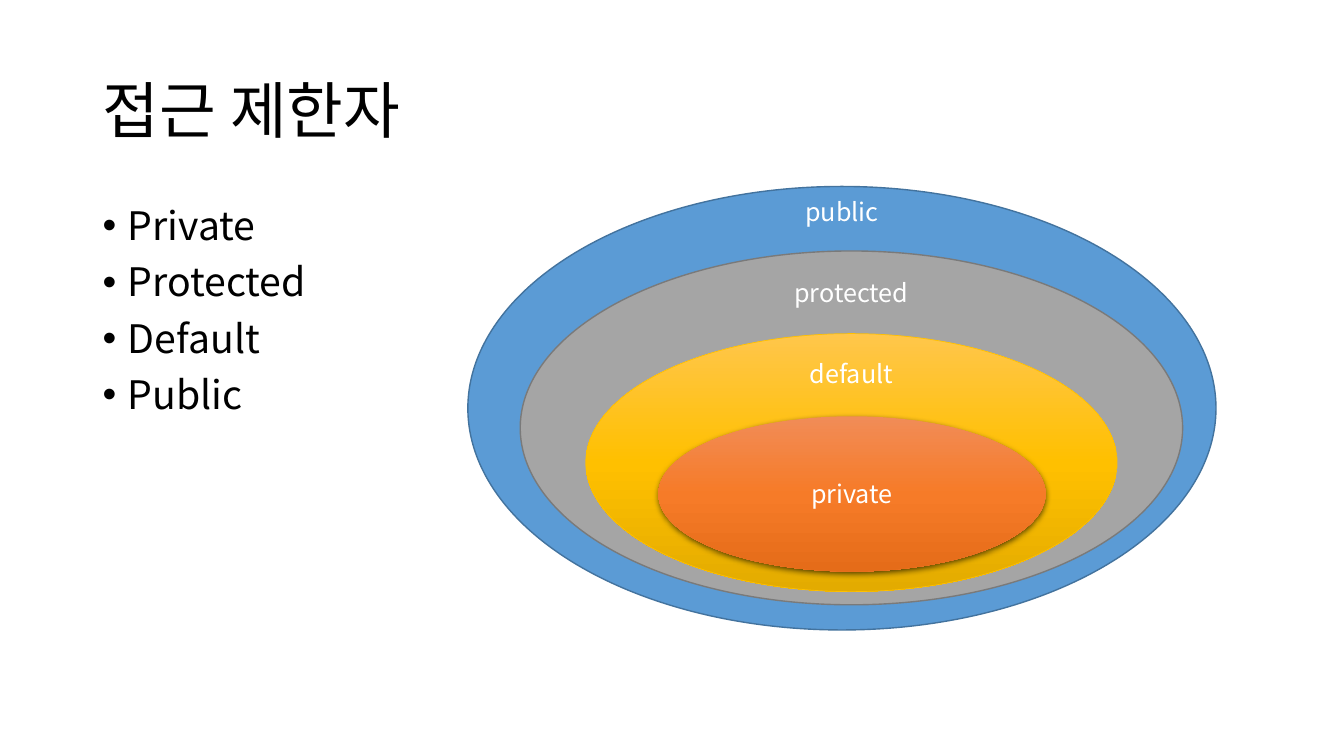
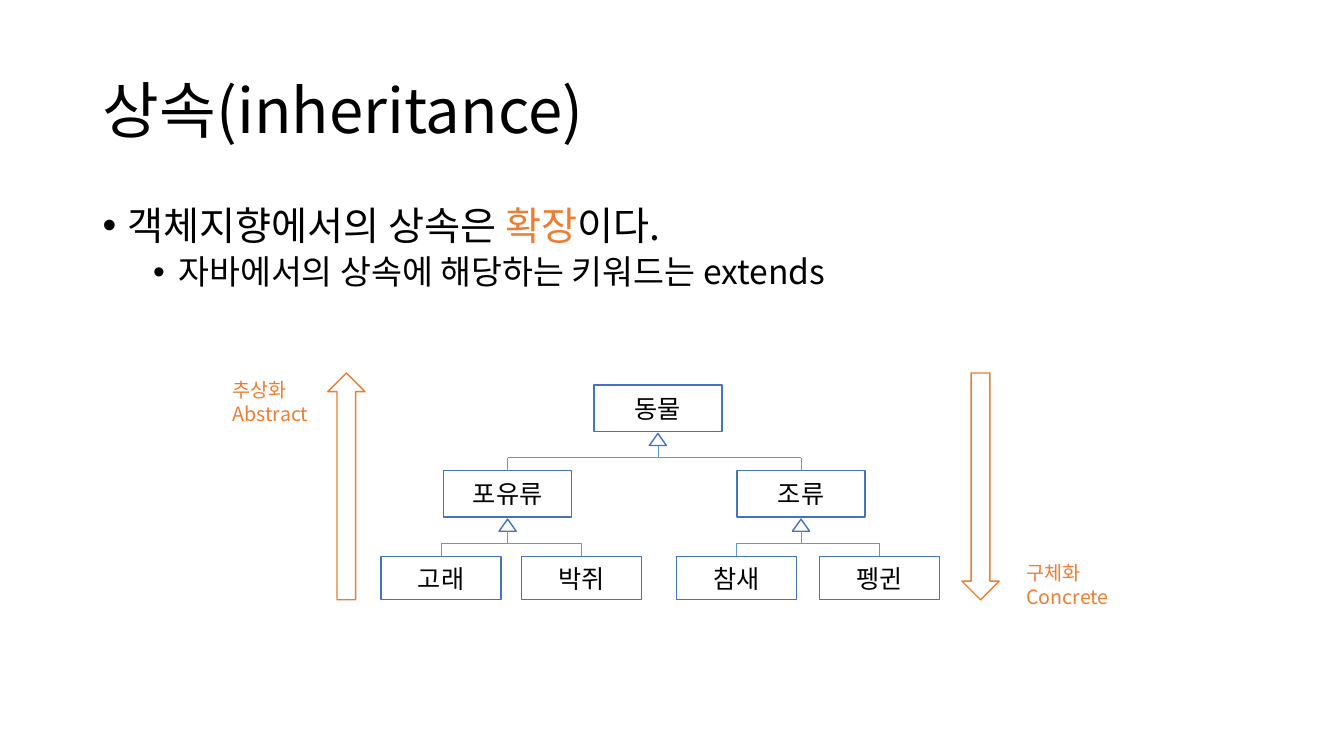
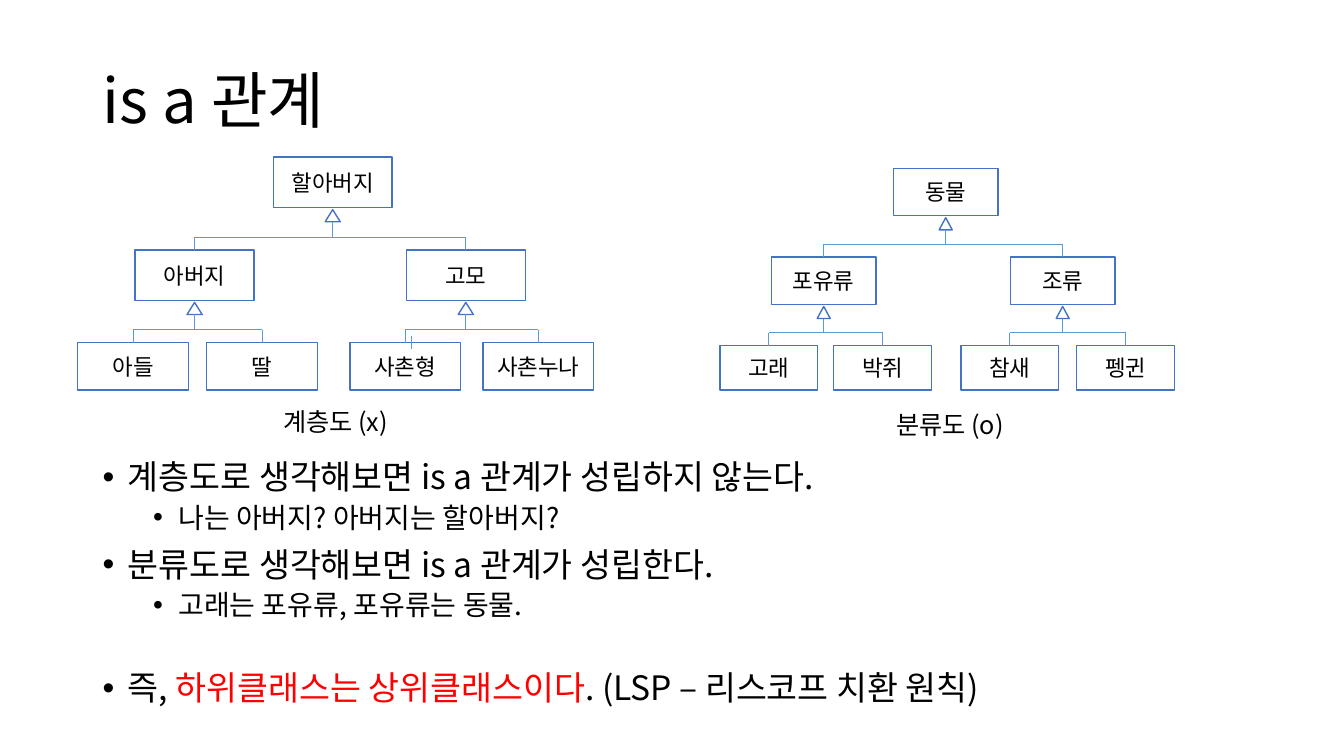
import copy

import lxml.etree
import pptx
import pptx.dml.color
import pptx.enum.shapes
import pptx.enum.text
import pptx.oxml
import pptx.oxml.ns
import pptx.util

Inches = pptx.util.Inches
Pt = pptx.util.Pt
qn = pptx.oxml.ns.qn
color = pptx.dml.color.RGBColor.from_string
PRESET = pptx.enum.shapes.MSO_SHAPE
ALIGN = pptx.enum.text.PP_ALIGN
ANCHOR = pptx.enum.text.MSO_ANCHOR

# Shared style
FONT = "Noto Sans CJK KR"
BLACK, WHITE, ORANGE, RED = "000000", "FFFFFF", "ED7D31", "FF0000"
BOX_LINE, TREE_LINE = "4472C4", "5B9BD5"
TITLE_FORMAT = {"alignment": ALIGN.LEFT, "line_spacing": 0.9}
LABEL_FORMAT = {"alignment": ALIGN.CENTER}
NOTE_FORMAT = {"alignment": ALIGN.LEFT}
BULLET_FORMATS = [
    {"level": 0, "line_spacing": 0.9, "space_before": Pt(10)},
    {"level": 1, "line_spacing": 0.9, "space_before": Pt(5)},
]
BULLET_INDENTS = [0.25, 0.75]


def write(para, spans, size, para_format):
    """Fill a paragraph with (text, colour) spans."""
    for name, value in para_format.items():
        setattr(para, name, value)
    for text, hue in spans:
        span = para.add_run()
        span.text = text
        span.font.color.rgb = color(hue)
        for name, value in {"name": FONT, "size": Pt(size)}.items():
            setattr(span.font, name, value)
        east_asian = lxml.etree.SubElement(span.font._element, qn("a:ea"))
        east_asian.set("typeface", FONT)


def add_box(page, preset, at, fill=None, line=None, anchor=ANCHOR.MIDDLE):
    """Add a preset shape, or a text box when preset is None."""
    place = [Inches(value) for value in at]
    if preset is None:
        box = page.shapes.add_textbox(*place)
    else:
        box = page.shapes.add_shape(preset, *place)
        box.shadow.inherit = False
        if fill:
            box.fill.solid()
            box.fill.fore_color.rgb = color(fill)
        if line:
            box.line.color.rgb = color(line)
            box.line.width = Pt(1)
        else:
            box.line.fill.background()
    for name, value in {"word_wrap": True, "vertical_anchor": anchor}.items():
        setattr(box.text_frame, name, value)
    return box


deck = pptx.Presentation()
deck.slide_width = Inches(13.33)
deck.slide_height = Inches(7.5)

# Titles and bullets: title, title top, body top, body height, bullets.
# A bullet is level, size, spans and an optional space before.
outlines = [
    ("접근 제한자", 0.4, 2, 4.76, [
        (0, 28, [(word, BLACK)], None)
        for word in ("Private", "Protected", "Default", "Public")
    ]),
    ("상속(inheritance)", 0.4, 2, 4.76, [
        (0, 28, [("객체지향에서의 상속은 ", BLACK), ("확장", ORANGE), ("이다.", BLACK)], None),
        (1, 24, [("자바에서의 상속에 해당하는 키워드는 extends", BLACK)], None),
    ]),
    ("is a 관계", 0.3, 4.52, 2.76, [
        (0, 24, [("계층도로 생각해보면 is a 관계가 성립하지 않는다.", BLACK)], None),
        (1, 20, [("나는 아버지? 아버지는 할아버지?", BLACK)], None),
        (0, 24, [("분류도로 생각해보면 is a 관계가 성립한다.", BLACK)], None),
        (1, 20, [("고래는 포유류, 포유류는 동물.", BLACK)], None),
        (0, 24, [("즉, ", BLACK), ("하위클래스는 상위클래스이다", RED),
                 (". (LSP – 리스코프 치환 원칙)", BLACK)], 36),
    ]),
]
pages = []
for title_text, title_top, body_top, body_height, bullets in outlines:
    page = deck.slides.add_slide(deck.slide_layouts[5])
    pages.append(page)
    title = page.shapes.title
    title_place = {"left": 0.92, "top": title_top, "width": 11.5, "height": 1.45}
    for name, value in title_place.items():
        setattr(title, name, Inches(value))
    title.text_frame.vertical_anchor = ANCHOR.MIDDLE
    write(title.text_frame.paragraphs[0], [(title_text, BLACK)], 44, TITLE_FORMAT)

    body = add_box(page, None, (0.92, body_top, 11.5, body_height), anchor=ANCHOR.TOP)
    for index, (level, size, spans, gap) in enumerate(bullets):
        frame = body.text_frame
        para = frame.add_paragraph() if index else frame.paragraphs[0]
        write(para, spans, size, BULLET_FORMATS[level])
        if gap:
            para.space_before = Pt(gap)
        properties = para._p.get_or_add_pPr()
        properties.set("marL", str(Inches(BULLET_INDENTS[level])))
        properties.set("indent", str(Inches(-0.25)))
        lxml.etree.SubElement(properties, qn("a:buFont")).set("typeface", "Arial")
        lxml.etree.SubElement(properties, qn("a:buChar")).set("char", "•")

access_page, inheritance_page, relation_page = pages

# Nested access levels: name, place, fill stops, line, line width, label centre
scopes = [
    ("public", (4.64, 1.85, 7.42, 4.4), ["5B9BD5"], "43739E", 1, 2.1),
    ("protected", (5.16, 2.49, 6.57, 3.51), ["A5A5A5"], "7A7A7A", 1, 2.9),
    ("default", (5.81, 3.31, 5.27, 2.56), ["FFC64B", "FFC000", "E3AB00"], "FFC000", 0.5, 3.7),
    ("private", (6.53, 4.13, 3.84, 1.54), ["F18C57", "F67B28", "E56C19"], None, 0, 4.9),
]
for name, place, stops, line, line_width, label_middle in scopes:
    ellipse = add_box(access_page, PRESET.OVAL, place, stops[0], line)
    if line:
        ellipse.line.width = Pt(line_width)
    if len(stops) == 3:
        ellipse.fill.gradient()
        ellipse.fill.gradient_angle = 270
        stop_list = ellipse._element.spPr.find(".//" + qn("a:gsLst"))
        stop_list.insert(1, copy.deepcopy(stop_list[0]))
        for index, stop in enumerate(ellipse.fill.gradient_stops):
            stop.position = index / 2
            stop.color.rgb = color(stops[index])
    label_place = (place[0], label_middle - 0.2, place[2], 0.4)
    label = add_box(access_page, None, label_place)
    write(label.text_frame.paragraphs[0], [(name, WHITE)], 18, LABEL_FORMAT)

# Soft shadow below the innermost ellipse
effects = ellipse._element.spPr.find(qn("a:effectLst"))
effects.append(pptx.oxml.parse_xml(
    '<a:outerShdw xmlns:a="http://schemas.openxmlformats.org/drawingml/2006/main"'
    ' blurRad="57150" dist="19050" dir="5400000" algn="ctr" rotWithShape="0">'
    '<a:srgbClr val="000000"><a:alpha val="63000"/></a:srgbClr></a:outerShdw>'))

# Class trees: page, text size, triangle width, levels.
# A level is top, box width, box height and its (left, name) boxes.
trees = [
    (inheritance_page, 18, 0.17, [
        (3.82, 1.27, 0.46, [(5.89, "동물")]),
        (4.67, 1.27, 0.46, [(4.4, "포유류"), (7.31, "조류")]),
        (5.52, 1.19, 0.43, [(3.78, "고래"), (5.17, "박쥐"), (6.71, "참새"), (8.13, "펭귄")]),
    ]),
    (relation_page, 16, 0.13, [
        (1.67, 1.04, 0.47, [(8.86, "동물")]),
        (2.55, 1.04, 0.47, [(7.65, "포유류"), (10.02, "조류")]),
        (3.43, 0.97, 0.44, [(7.14, "고래"), (8.27, "박쥐"), (9.53, "참새"), (10.68, "펭귄")]),
    ]),
    (relation_page, 16, 0.15, [
        (1.56, 1.18, 0.5, [(2.71, "할아버지")]),
        (2.48, 1.18, 0.5, [(1.34, "아버지"), (4.03, "고모")]),
        (3.4, 1.1, 0.47, [(0.77, "아들"), (2.05, "딸"), (3.47, "사촌형"), (4.79, "사촌누나")]),
    ]),
]
links = [(relation_page, 4.08, 3.46, 4.08, 3.33)]
for page, size, triangle_width, levels in trees:
    for top, width, height, members in levels:
        for left, name in members:
            box = add_box(page, PRESET.RECTANGLE, (left, top, width, height), WHITE, BOX_LINE)
            for side in ("margin_left", "margin_right"):
                setattr(box.text_frame, side, Inches(0.05))
            write(box.text_frame.paragraphs[0], [(name, BLACK)], size, LABEL_FORMAT)
    for upper, lower in zip(levels, levels[1:]):
        triangle_top = upper[0] + upper[2] + 0.02
        child_top = lower[0]
        bar = child_top - 0.13
        centers = [left + lower[1] / 2 for left, name in lower[3]]
        for index, (left, name) in enumerate(upper[3]):
            middle = left + upper[1] / 2
            first, last = centers[2 * index:2 * index + 2]
            add_box(page, PRESET.ISOSCELES_TRIANGLE,
                    (middle - triangle_width / 2, triangle_top, triangle_width, 0.12),
                    WHITE, BOX_LINE)
            links += [
                (page, middle, triangle_top + 0.12, middle, bar),
                (page, first, bar, last, bar),
                (page, first, child_top, first, bar),
                (page, last, child_top, last, bar),
            ]

for page, *ends in links:
    link = page.shapes.add_connector(
        pptx.enum.shapes.MSO_CONNECTOR.STRAIGHT, *[Inches(value) for value in ends])
    link.line.color.rgb = color(TREE_LINE)
    link.line.width = Pt(0.5)
    lxml.etree.SubElement(link._element.spPr, qn("a:effectLst"))

# Arrows beside the inheritance tree
for left, turn in ((9.54, 0), (3.25, 180)):
    arrow = add_box(inheritance_page, PRESET.DOWN_ARROW, (left, 3.7, 0.37, 2.25), WHITE, ORANGE)
    arrow.rotation = turn

# Notes beside the arrows and captions below the trees
notes = [
    (inheritance_page, (10.08, 5.52, 1.04, 0.57), 14, ORANGE, ["구체화", "Concrete"]),
    (inheritance_page, (2.21, 3.7, 1.04, 0.57), 14, ORANGE, ["추상화", "Abstract"]),
    (relation_page, (2.71, 3.98, 1.6, 0.4), 18, BLACK, ["계층도 (x)"]),
    (relation_page, (8.79, 4.01, 1.6, 0.4), 18, BLACK, ["분류도 (o)"]),
]
for page, place, size, hue, lines in notes:
    frame = add_box(page, None, place, anchor=ANCHOR.TOP).text_frame
    for index, text in enumerate(lines):
        para = frame.add_paragraph() if index else frame.paragraphs[0]
        write(para, [(text, hue)], size, NOTE_FORMAT)

deck.save("out.pptx")
